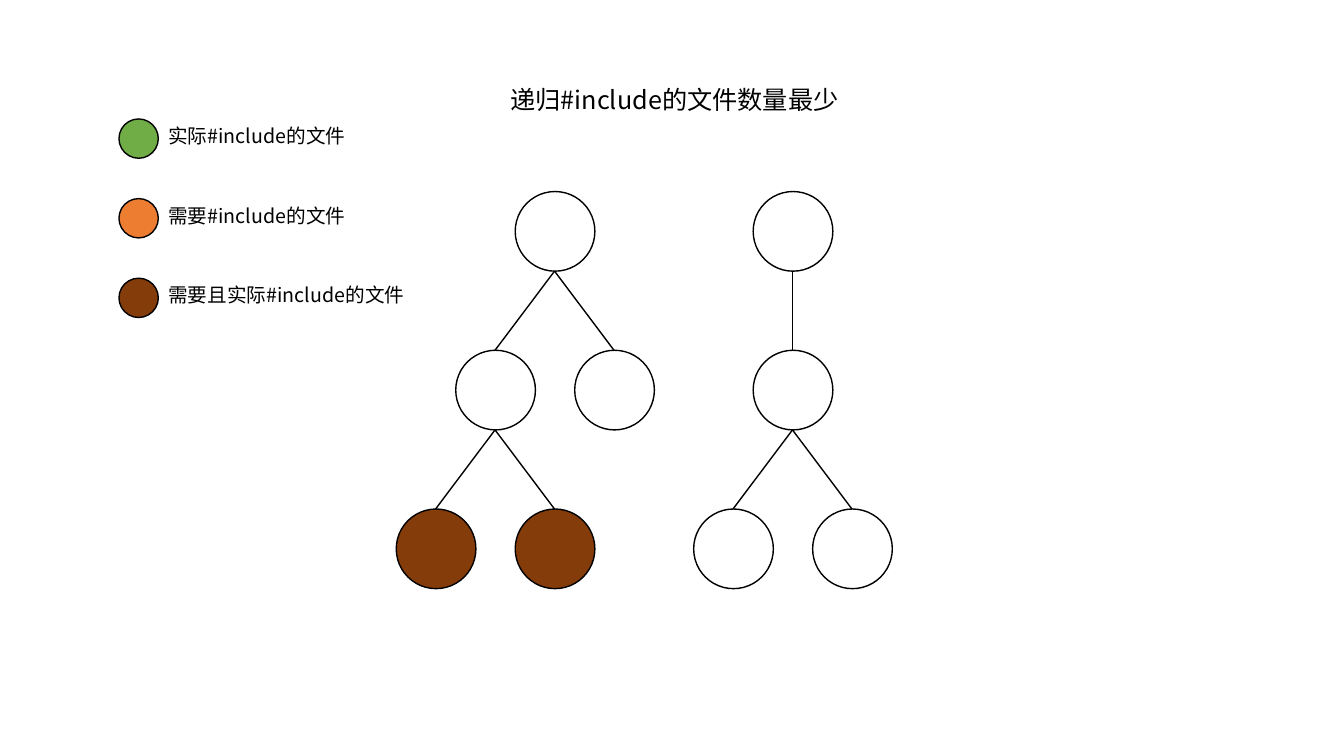
from lxml.etree import SubElement as Sub
from pptx import Presentation
from pptx.dml.color import RGBColor as Rgb
from pptx.enum.shapes import MSO_CONNECTOR as Link, MSO_SHAPE as Form
from pptx.enum.text import MSO_ANCHOR as Anchor, MSO_AUTO_SIZE as Fit, PP_ALIGN as Align
from pptx.oxml.ns import qn
from pptx.util import Inches, Pt

FONT = "Noto Sans CJK SC"
BLACK, GREEN, ORANGE, BROWN = "000000", "70AD47", "ED7D31", "843C0B"
SIZE, HALF, STEP, ROW = 0.79, 0.39, 0.59, 1.575


def paint(part, color):
    """Give a fill or line a solid colour from a hex string."""
    part.solid()
    part.fore_color.rgb = Rgb.from_string(color)


def write(shape, text, size, align=Align.LEFT):
    """Set one line of text in the slide's font."""
    frame = shape.text_frame
    frame.text = text
    frame.word_wrap = True
    frame.auto_size = Fit.NONE
    frame.vertical_anchor = Anchor.TOP
    para = frame.paragraphs[0]
    para.alignment = align
    run = para.runs[0]
    run.font.size = Pt(size)
    run.font.name = FONT
    paint(run.font.fill, BLACK)
    Sub(run._r.get_or_add_rPr(), qn("a:ea"), typeface=FONT)


def disc(slide, left, top, size, color=None):
    """Draw a black-edged circle, hollow unless a colour is given."""
    shape = slide.shapes.add_shape(Form.OVAL, *map(Inches, (left, top, size, size)))
    shape.shadow.inherit = False
    if color:
        paint(shape.fill, color)
    else:
        shape.fill.background()
    paint(shape.line.fill, BLACK)
    shape.line.width = Pt(1)


def edge(slide, start, end):
    """Join two points with a thin black line."""
    line = slide.shapes.add_connector(Link.STRAIGHT, *map(Inches, start + end))
    paint(line.line.fill, BLACK)
    line.line.width = Pt(1)
    Sub(line._element.spPr, qn("a:effectLst"))


def title(slide, left, top, width, height, text):
    """Place and format the slide title."""
    shape = slide.shapes.title
    shape.left, shape.top, shape.width, shape.height = map(Inches, (left, top, width, height))
    write(shape, text, 18, Align.CENTER)


def legend(slide, left, top, width, items):
    """List each colour with its meaning, from the top down."""
    for num, (color, text) in enumerate(items):
        y = top + num * SIZE
        disc(slide, left, y, HALF, color)
        box = slide.shapes.add_textbox(*map(Inches, (left + HALF, y, width - HALF, 0.35)))
        write(box, text, 14)


def tree(slide, left, top, nodes, edges):
    """Draw nodes at (column, row) and edges between their numbers."""
    spots = [(left + col * STEP, top + row * ROW) for col, row, _ in nodes]
    for (x, y), (_, _, color) in zip(spots, nodes):
        disc(slide, x, y, SIZE, color)
    for up, down in edges:
        (x, y), (end, low) = spots[up], spots[down]
        edge(slide, (x + HALF, y + SIZE), (end + HALF, low))


deck = Presentation()
deck.slide_width, deck.slide_height = Inches(13.33), Inches(7.5)
page = deck.slides.add_slide(deck.slide_layouts[5])
title(page, 4.72, 0.79, 3.94, 0.42, "递归#include的文件数量最少")
legend(page, 1.18, 1.18, 3.31, [
    (GREEN, "实际#include的文件"),
    (ORANGE, "需要#include的文件"),
    (BROWN, "需要且实际#include的文件"),
])
tree(page, 3.93, 1.9,
     [(2, 0, None), (1, 1, None), (3, 1, None), (0, 2, BROWN), (2, 2, BROWN)],
     [(0, 1), (0, 2), (1, 3), (1, 4)])
tree(page, 6.88, 1.9,
     [(1, 0, None), (1, 1, None), (0, 2, None), (2, 2, None)],
     [(0, 1), (1, 2), (1, 3)])
deck.save("out.pptx")
